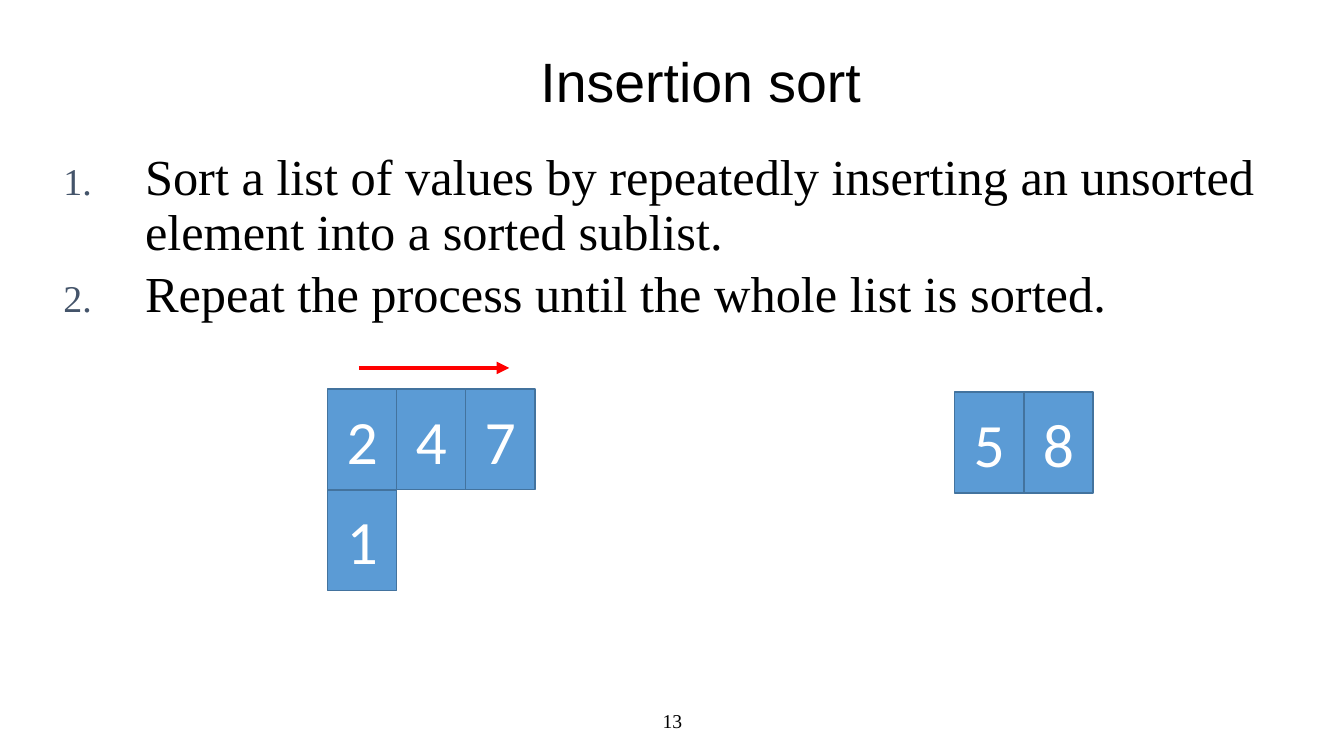
"""Build the insertion sort slide with numbered steps and two value lists."""
from lxml import etree
from pptx import Presentation
from pptx.dml.color import RGBColor
from pptx.enum.shapes import MSO_CONNECTOR, MSO_SHAPE
from pptx.enum.text import MSO_ANCHOR, MSO_AUTO_SIZE, PP_ALIGN
from pptx.oxml.ns import qn
from pptx.util import Inches, Pt

RECTANGLE = MSO_SHAPE.RECTANGLE
STRAIGHT = MSO_CONNECTOR.STRAIGHT
MIDDLE = MSO_ANCHOR.MIDDLE
CENTER = PP_ALIGN.CENTER
SERIF = "Times New Roman"
CELL_WIDTH, CELL_HEIGHT = 0.685, 1


def color(hex_text):
    return RGBColor.from_string(hex_text)


def add_run(paragraph, text, size, font_name, hex_text):
    run = paragraph.add_run()
    run.text = text
    run.font.size = Pt(size)
    run.font.name = font_name
    run.font.color.rgb = color(hex_text)


presentation = Presentation()
presentation.slide_width = Inches(13.33)
presentation.slide_height = Inches(7.5)
slide = presentation.slides.add_slide(presentation.slide_layouts[5])

title = slide.shapes.title
title.left, title.top = Inches(0.53), Inches(0.5)
title.width, title.height = Inches(12.84), Inches(0.67)
title.text_frame.auto_size = MSO_AUTO_SIZE.NONE
title.text_frame.vertical_anchor = MIDDLE
paragraph = title.text_frame.paragraphs[0]
paragraph.alignment = CENTER
paragraph.line_spacing = 0.9
add_run(paragraph, "Insertion sort", 39.6, "Arial", "000000")

steps = [
    "Sort a list of values by repeatedly inserting an unsorted element into a sorted sublist.",
    "Repeat the process until the whole list is sorted.",
]
steps_box = slide.shapes.add_textbox(Inches(0.53), Inches(1.46), Inches(12.62), Inches(2.77))
steps_frame = steps_box.text_frame
steps_frame.word_wrap = True
for index, step in enumerate(steps):
    paragraph = steps_frame.add_paragraph() if index else steps_frame.paragraphs[0]
    paragraph.line_spacing = 0.9
    paragraph.space_before = Pt(6 if index else 0)
    properties = paragraph._p.get_or_add_pPr()
    properties.set("marL", str(Inches(0.81)))
    properties.set("indent", str(-Inches(0.81)))
    bullet_color = etree.SubElement(properties, qn("a:buClr"))
    etree.SubElement(bullet_color, qn("a:srgbClr"), val="44546A")
    etree.SubElement(properties, qn("a:buSzPct"), val="75000")
    etree.SubElement(properties, qn("a:buFont"), typeface=SERIF)
    etree.SubElement(properties, qn("a:buAutoNum"), type="arabicPeriod")
    add_run(paragraph, step, 36, SERIF, "000000")

value_rows = [(3.25, 3.86, "247"), (3.25, 3.86 + CELL_HEIGHT, "1"), (9.47, 3.89, "58")]
for left, top, values in value_rows:
    for column, value in enumerate(values):
        cell = slide.shapes.add_shape(
            RECTANGLE, Inches(left + column * CELL_WIDTH), Inches(top),
            Inches(CELL_WIDTH), Inches(CELL_HEIGHT))
        cell.shadow.inherit = False
        cell.fill.solid()
        cell.fill.fore_color.rgb = color("5B9BD5")
        cell.line.color.rgb = color("43739E")
        cell.line.width = Pt(1)
        cell.text_frame.vertical_anchor = MIDDLE
        paragraph = cell.text_frame.paragraphs[0]
        paragraph.alignment = CENTER
        add_run(paragraph, value, 44, "Calibri", "FFFFFF")

arrow = slide.shapes.add_connector(
    STRAIGHT, Inches(3.56), Inches(3.65), Inches(5.05), Inches(3.65))
arrow.line.color.rgb = color("FF0000")
arrow.line.width = Pt(3)
etree.SubElement(arrow.line._get_or_add_ln(), qn("a:tailEnd"), type="triangle")
etree.SubElement(arrow._element.spPr, qn("a:effectLst"))

number_box = slide.shapes.add_textbox(Inches(4.42), Inches(6.95), Inches(4.5), Inches(0.4))
number_box.text_frame.word_wrap = True
number_box.text_frame.vertical_anchor = MIDDLE
paragraph = number_box.text_frame.paragraphs[0]
paragraph.alignment = CENTER
add_run(paragraph, "13", 14, SERIF, "000000")

presentation.save("out.pptx")
